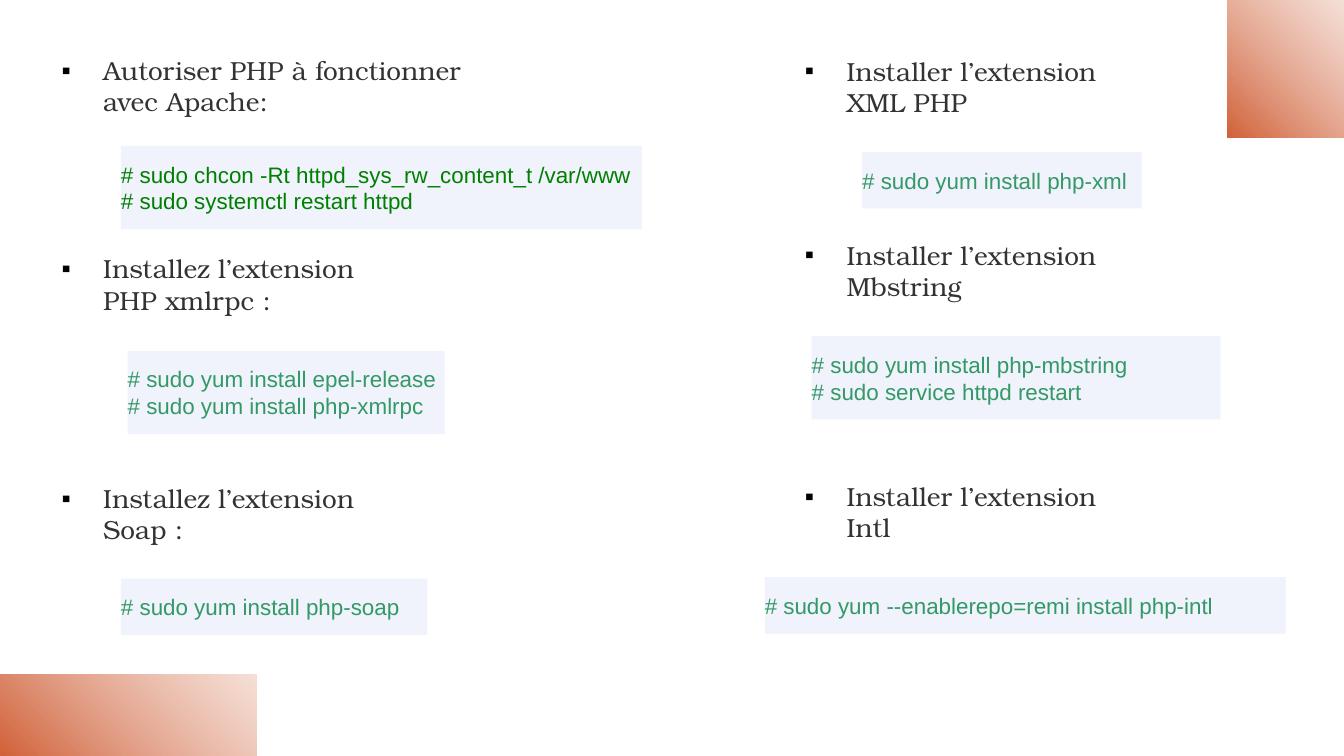
from typing import NamedTuple

from lxml.etree import SubElement
from pptx import Presentation
from pptx.dml.color import RGBColor
from pptx.enum.shapes import MSO_SHAPE
from pptx.enum.text import MSO_ANCHOR, MSO_AUTO_SIZE, PP_ALIGN
from pptx.oxml.ns import qn
from pptx.util import Emu, Pt

PX = 4572  # EMU per px, 200 px to the inch
SLIDE_WIDTH, SLIDE_HEIGHT = 2000, 1125
COLORS = {
    "heading": "333333", "bullet": "000000", "code_bg": "F0F2FC",
    "code": "339966", "code_strong": "008000",
    "accent_light": "DF957A", "accent": "D16138",
}
HEADING_FONT = {"name": "TeX Gyre Bonum", "size": Pt(14)}
CODE_FONT = {"name": "Arial", "size": Pt(12)}
TEXT_FRAME = {"word_wrap": True, "auto_size": MSO_AUTO_SIZE.SHAPE_TO_FIT_TEXT}
CODE_FRAME = TEXT_FRAME | {
    "margin_left": 0, "margin_right": 0,
    "margin_top": 22 * PX, "margin_bottom": 22 * PX,
    "vertical_anchor": MSO_ANCHOR.MIDDLE,
}
HEADING_HEIGHT = 114
CODE_PADDING, CODE_LINE = 44, 40
BULLET_INDENT = 62


class Box(NamedTuple):
    left: int
    top: int
    width: int
    height: int


class Step(NamedTuple):
    heading: str
    left: int
    top: int
    width: int
    commands: tuple[str, ...]
    code_left: int
    code_top: int
    code_width: int
    color: str = "code"


CORNERS = [Box(130, 874, 122, 382), Box(1810, 16, 206, 172)]
STEPS = [
    Step("Autoriser PHP à fonctionner avec Apache:", 72, 71, 674,
         ("# sudo chcon -Rt httpd_sys_rw_content_t /var/www",
          "# sudo systemctl restart httpd"), 180, 217, 775, "code_strong"),
    Step("Installez l’extension PHP xmlrpc :", 72, 366, 536,
         ("# sudo yum install epel-release",
          "# sudo yum install php-xmlrpc"), 190, 522, 472),
    Step("Installez l’extension Soap :", 72, 708, 536,
         ("# sudo yum install php-soap",), 180, 861, 456),
    Step("Installer l’extension XML PHP", 1178, 72, 536,
         ("# sudo yum install php-xml",), 1283, 226, 416),
    Step("Installer l’extension Mbstring", 1178, 346, 536,
         ("# sudo yum install php-mbstring",
          "# sudo service httpd restart"), 1208, 500, 608),
    Step("Installer l’extension Intl", 1178, 705, 536,
         ("# sudo yum --enablerepo=remi install php-intl",), 1138, 859, 775),
]


def rgb(name: str) -> RGBColor:
    return RGBColor.from_string(COLORS[name])


def emu(box: Box) -> list[Emu]:
    return [Emu(v * PX) for v in box]


def apply(target, values: dict) -> None:
    for key, value in values.items():
        setattr(target, key, value)


def add_rect(s, box: Box):
    sp = s.shapes.add_shape(MSO_SHAPE.RECTANGLE, *emu(box))
    sp.shadow.inherit = False
    sp.line.fill.background()
    return sp


def add_corner(s, box: Box) -> None:
    """Add a mirrored, turned rectangle that fades towards its top right."""
    sp = add_rect(s, box)
    sp.rotation = 270
    sp._element.spPr.find(qn("a:xfrm")).set("flipH", "1")
    sp.fill.gradient()
    sp.fill.gradient_angle = 45
    for stop, name in zip(sp.fill.gradient_stops, ("accent_light", "accent")):
        stop.color.rgb = rgb(name)
    light = next(sp._element.spPr.iter(qn("a:srgbClr")))
    SubElement(light, qn("a:alpha"), val="30000")


def add_bullet(p) -> None:
    pPr = p._p.get_or_add_pPr()
    pPr.set("marL", str(BULLET_INDENT * PX))
    pPr.set("indent", str(-BULLET_INDENT * PX))
    color = SubElement(pPr, qn("a:buClr"))
    SubElement(color, qn("a:srgbClr"), val=COLORS["bullet"])
    SubElement(pPr, qn("a:buFont"), typeface="Arial")
    SubElement(pPr, qn("a:buChar"), char="▪")


def add_run(p, text: str, font: dict, color: str) -> None:
    r = p.add_run()
    r.text = text
    apply(r.font, font)
    r.font.color.rgb = rgb(color)


def add_heading(s, step: Step) -> None:
    box = Box(step.left, step.top, step.width, HEADING_HEIGHT)
    tf = s.shapes.add_textbox(*emu(box)).text_frame
    apply(tf, TEXT_FRAME)
    p = tf.paragraphs[0]
    add_bullet(p)
    add_run(p, step.heading, HEADING_FONT, "heading")


def add_code(s, step: Step) -> None:
    height = CODE_PADDING + CODE_LINE * len(step.commands)
    sp = add_rect(s, Box(step.code_left, step.code_top, step.code_width, height))
    sp.fill.solid()
    sp.fill.fore_color.rgb = rgb("code_bg")
    tf = sp.text_frame
    apply(tf, CODE_FRAME)
    for i, command in enumerate(step.commands):
        p = tf.add_paragraph() if i else tf.paragraphs[0]
        p.alignment = PP_ALIGN.LEFT
        add_run(p, command, CODE_FONT, step.color)


def main() -> None:
    prs = Presentation()
    prs.slide_width = Emu(SLIDE_WIDTH * PX)
    prs.slide_height = Emu(SLIDE_HEIGHT * PX)
    s = prs.slides.add_slide(prs.slide_layouts[6])
    for box in CORNERS:
        add_corner(s, box)
    for step in STEPS:
        add_heading(s, step)
        add_code(s, step)
    prs.save("out.pptx")


if __name__ == "__main__":
    main()
